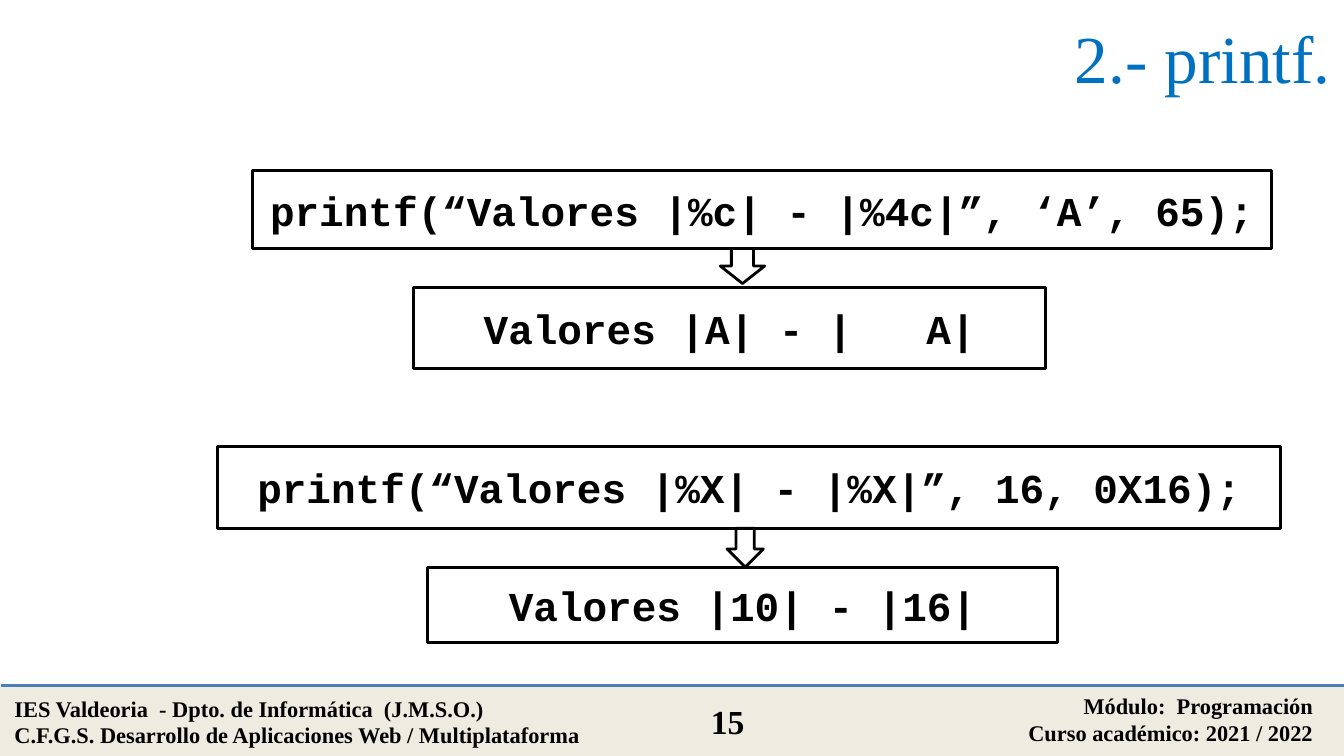
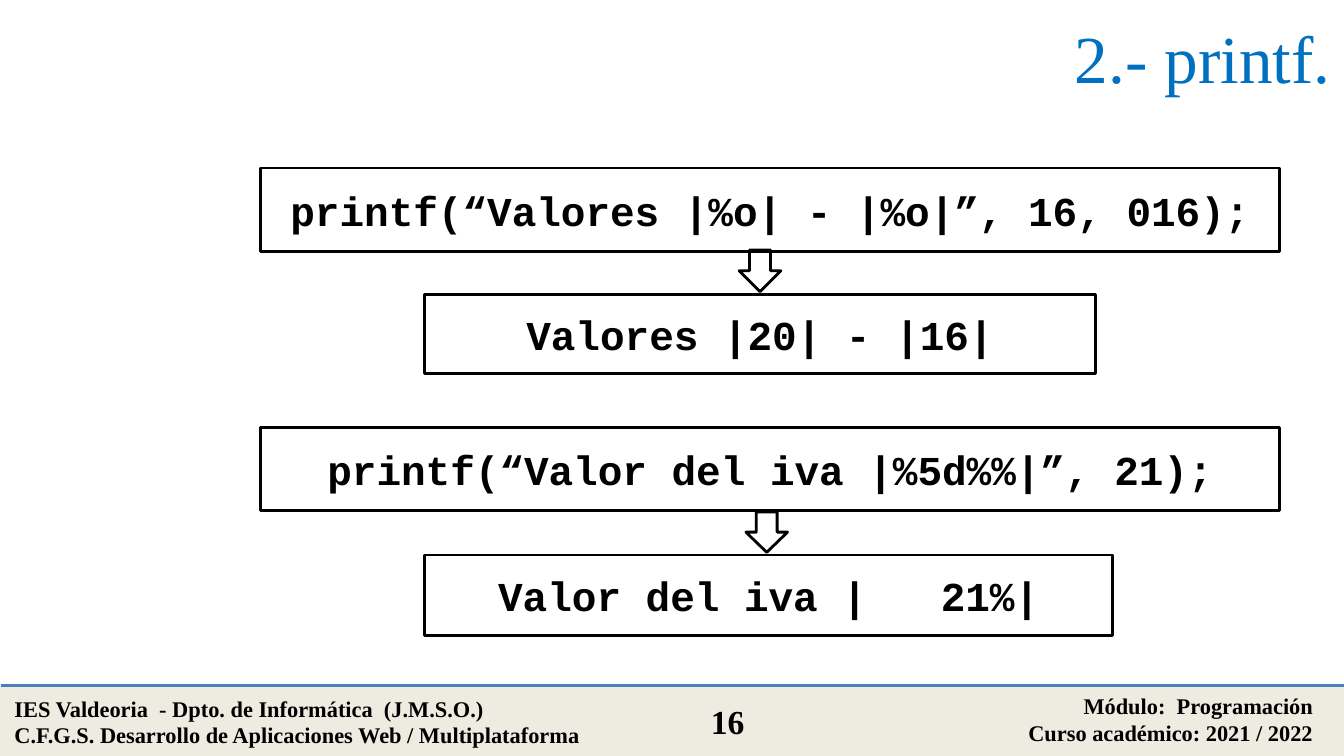
from dataclasses import dataclass

from lxml import etree
from pptx import Presentation
from pptx import util as u
from pptx.dml import color
from pptx.enum import shapes, text
from pptx.oxml import ns

# Shared look
BLACK, BLUE, RULE, SAND = "000000", "0070C0", "4B7EBC", "EEECE1"
SERIF, MONO = "Times New Roman", "Courier New"
LEFT, MID, RIGHT = text.PP_ALIGN.LEFT, text.PP_ALIGN.CENTER, text.PP_ALIGN.RIGHT
TITLE = {"name": SERIF, "size": u.Pt(36), "bold": False}
FOOT = {"name": SERIF, "size": u.Pt(12), "bold": True}
PAGE = {**FOOT, "size": u.Pt(18)}
CODE = {"name": MONO, "size": u.Pt(22), "bold": True}

Area = tuple[float, float, float, float]


@dataclass
class Box:
    area: Area
    words: str


@dataclass
class Sample:
    """A call, the arrow below it and the output it prints."""
    call: Box
    arrow: Area
    out: Box


SLIDES = [
    [Sample(Box((1.88, 1.27, 7.58, 0.58), "printf(“Valores |%c| - |%4c|”, ‘A’, 65);"),
            (5.36, 1.85, 0.33, 0.26),
            Box((3.08, 2.14, 4.7, 0.6), "Valores |A| - |   A|")),
     Sample(Box((1.62, 3.32, 7.91, 0.61), "printf(“Valores |%X| - |%X|”, 16, 0X16);"),
            (5.41, 3.93, 0.27, 0.29),
            Box((3.18, 4.22, 4.69, 0.56), "Valores |10| - |16|"))],
    [Sample(Box((1.94, 1.25, 7.58, 0.62), "printf(“Valores |%o| - |%o|”, 16, 016);"),
            (5.5, 1.86, 0.31, 0.31),
            Box((3.16, 2.19, 4.99, 0.59), "Valores |20| - |16|")),
     Sample(Box((1.94, 3.18, 7.58, 0.62), "printf(“Valor del iva |%5d%%|”, 21);"),
            (5.55, 3.81, 0.31, 0.3),
            Box((3.16, 4.13, 5.12, 0.6), "Valor del iva |   21%|"))],
]
FIRST = 15


def rgb(code: str) -> color.RGBColor:
    return color.RGBColor.from_string(code)


def inch(area: Area) -> list[u.Length]:
    return [u.Inches(n) for n in area]


def write(frame, lines: list[str], style: dict, align, tint: str = BLACK) -> None:
    frame.word_wrap = True
    for i, line in enumerate(lines):
        para = frame.paragraphs[0] if i == 0 else frame.add_paragraph()
        para.alignment = align
        run = para.add_run()
        run.text = line
        for key, val in style.items():
            setattr(run.font, key, val)
        run.font.color.rgb = rgb(tint)


def shape(parent, kind, area: Area, fill: str = "", line: str = BLACK,
          width: float = 1.5):
    item = parent.add_shape(kind, *inch(area))
    item.shadow.inherit = False
    if fill:
        item.fill.solid()
        item.fill.fore_color.rgb = rgb(fill)
    else:
        item.fill.background()
    item.line.color.rgb = rgb(line)
    item.line.width = u.Pt(width)
    return item


def label(parent, area: Area, lines: list[str], style: dict, align) -> None:
    write(parent.add_textbox(*inch(area)).text_frame, lines, style, align)


def footer(slide, page: int) -> None:
    band = slide.shapes.add_group_shape().shapes
    shape(band, shapes.MSO_SHAPE.RECTANGLE, (0.01, 5.1, 10, 0.52), SAND, SAND, 2)
    rule = band.add_connector(shapes.MSO_CONNECTOR.STRAIGHT,
                              *inch((0.01, 5.1, 10.01, 5.1)))
    rule.line.color.rgb = rgb(RULE)
    rule.line.width = u.Pt(2)
    etree.SubElement(rule.element.spPr, ns.qn("a:effectLst"))
    label(band, (0.01, 5.12, 4.66, 0.5),
          ["IES Valdeoria  - Dpto. de Informática  (J.M.S.O.)",
           "C.F.G.S. Desarrollo de Aplicaciones Web / Multiplataforma"], FOOT, LEFT)
    label(band, (5.87, 5.1, 4, 0.5),
          ["Módulo:  Programación", "Curso académico: 2021 / 2022"], FOOT, RIGHT)
    label(band, (5.01, 5.17, 0.81, 0.4), [str(page)], PAGE, MID)


def title(slide, words: str) -> None:
    head = slide.shapes.title
    head.left, head.top, head.width, head.height = inch((1.32, 0, 8.68, 0.84))
    head.text_frame.vertical_anchor = text.MSO_ANCHOR.MIDDLE
    write(head.text_frame, [words], TITLE, RIGHT, BLUE)


def code(slide, box: Box) -> None:
    frame = shape(slide.shapes, shapes.MSO_SHAPE.RECTANGLE, box.area).text_frame
    frame.vertical_anchor = text.MSO_ANCHOR.MIDDLE
    write(frame, [box.words], CODE, MID)


def sample(slide, part: Sample) -> None:
    code(slide, part.call)
    code(slide, part.out)
    shape(slide.shapes, shapes.MSO_SHAPE.DOWN_ARROW, part.arrow)


# Build the deck, 16:9
deck = Presentation()
deck.slide_width = u.Inches(10)
deck.slide_height = u.Inches(10 * 9 / 16)
for page, parts in enumerate(SLIDES, FIRST):
    slide = deck.slides.add_slide(deck.slide_layouts[5])
    footer(slide, page)
    title(slide, "2.- printf.")
    for part in parts:
        sample(slide, part)
deck.save("out.pptx")
